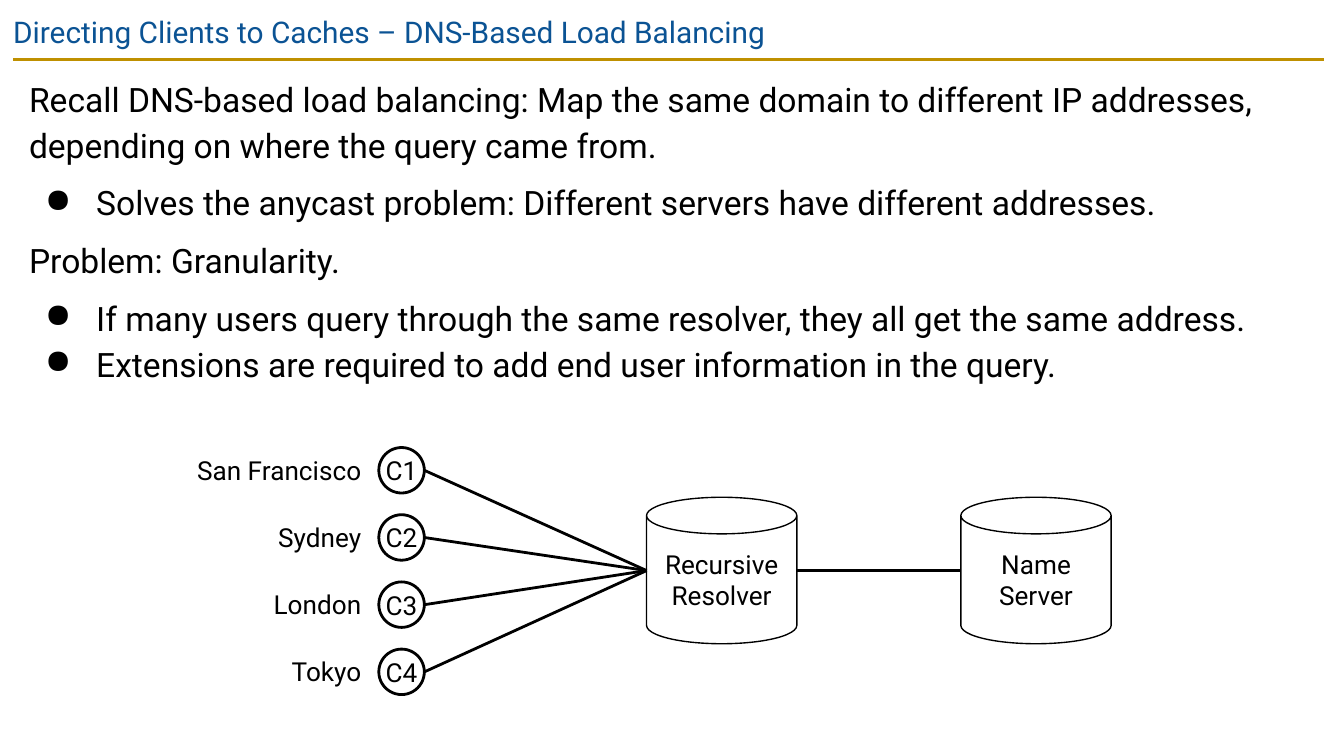
from dataclasses import dataclass

from lxml.etree import SubElement
from pptx import Presentation
from pptx.dml.color import RGBColor
from pptx.enum.shapes import MSO_CONNECTOR, MSO_SHAPE
from pptx.enum.text import MSO_ANCHOR, PP_ALIGN
from pptx.oxml.ns import qn
from pptx.util import Cm, Pt


@dataclass(frozen=True)
class Theme:
    font: str = "Roboto"
    title: RGBColor = RGBColor(0x0B, 0x53, 0x94)
    rule: RGBColor = RGBColor(0xBF, 0x90, 0x00)
    ink: RGBColor = RGBColor(0, 0, 0)
    paper: RGBColor = RGBColor(0xFF, 0xFF, 0xFF)
    title_size: Pt = Pt(16)
    body_size: Pt = Pt(18)
    label_size: Pt = Pt(14)
    thick: Pt = Pt(1.5)
    thin: Pt = Pt(0.75)


THEME = Theme()
INSET = Cm(0.25)

TITLE = "Directing Clients to Caches – DNS-Based Load Balancing"
# Text, is a bullet, space before in points
BODY = [
    ("Recall DNS-based load balancing: Map the same domain to different IP "
     "addresses, depending on where the query came from.", False, 6),
    ("Solves the anycast problem: Different servers have different addresses.", True, 6),
    ("Problem: Granularity.", False, 6),
    ("If many users query through the same resolver, they all get the same address.", True, 6),
    ("Extensions are required to add end user information in the query.", True, 0),
]
CITIES = ["San Francisco", "Sydney", "London", "Tokyo"]

CLIENT_LEFT, CLIENT_TOP = Cm(7.16), Cm(8.46)
CLIENT_SIZE, CLIENT_PITCH = Cm(0.86), Cm(1.27)
CITY_WIDTH, CITY_HEIGHT, CITY_GAP = Cm(3.38), Cm(0.61), Cm(0.33)
SERVER_TOP, SERVER_WIDTH, SERVER_HEIGHT = Cm(9.4), Cm(2.84), Cm(2.77)
RESOLVER_LEFT, NAME_SERVER_LEFT = Cm(12.22), Cm(18.16)


def set_font(para, size, color):
    para.font.name = THEME.font
    para.font.size = size
    para.font.color.rgb = color


def set_frame(frame, inset, anchor):
    frame.word_wrap = True
    frame.vertical_anchor = anchor
    frame.margin_left = frame.margin_right = inset
    frame.margin_top = frame.margin_bottom = inset


def add_bullet(para):
    properties = para._p.get_or_add_pPr()
    properties.set("marL", str(Cm(1.27)))
    properties.set("indent", str(-Cm(0.97)))
    color = SubElement(properties, qn("a:buClr"))
    SubElement(color, qn("a:srgbClr"), val=str(THEME.ink))
    SubElement(properties, qn("a:buChar"), char="●")


def add_text(page, text, left, top, width, height, size, color,
             inset=INSET, align=PP_ALIGN.LEFT):
    box = page.shapes.add_textbox(left, top, width, height)
    set_frame(box.text_frame, inset, MSO_ANCHOR.TOP)
    para = box.text_frame.paragraphs[0]
    para.text = text
    para.alignment = align
    set_font(para, size, color)


def add_body(page):
    box = page.shapes.add_textbox(Cm(0.3), Cm(1.12), Cm(24.74), Cm(6.63))
    frame = box.text_frame
    set_frame(frame, INSET, MSO_ANCHOR.TOP)
    for index, (text, bulleted, space) in enumerate(BODY):
        para = frame.add_paragraph() if index else frame.paragraphs[0]
        para.text = text
        para.line_spacing = 1.15
        para.space_before = Pt(space)
        if bulleted:
            add_bullet(para)
        set_font(para, THEME.body_size, THEME.ink)


def add_node(page, kind, text, left, top, width, height, line_width, inset):
    """Add an outlined, unfilled shape with a centred label."""
    node = page.shapes.add_shape(kind, left, top, width, height)
    node.shadow.inherit = False
    node.fill.background()
    node.line.color.rgb = THEME.ink
    node.line.width = line_width
    set_frame(node.text_frame, inset, MSO_ANCHOR.MIDDLE)
    para = node.text_frame.paragraphs[0]
    para.text = text
    para.alignment = PP_ALIGN.CENTER
    set_font(para, THEME.label_size, THEME.ink)
    return node


def add_client(page, name, top):
    client = add_node(page, MSO_SHAPE.OVAL, name, CLIENT_LEFT, top,
                      CLIENT_SIZE, CLIENT_SIZE, THEME.thick, 0)
    client.fill.solid()
    client.fill.fore_color.rgb = THEME.paper
    color = client._element.spPr.find(qn("a:solidFill"))[0]
    SubElement(color, qn("a:alpha"), val="75000")
    return client


def add_server(page, name, left):
    return add_node(page, MSO_SHAPE.CAN, name, left, SERVER_TOP,
                    SERVER_WIDTH, SERVER_HEIGHT, THEME.thin, INSET)


def add_line(page, start, end, color):
    line = page.shapes.add_connector(MSO_CONNECTOR.STRAIGHT, *start, *end)
    line.line.color.rgb = color
    line.line.width = THEME.thick
    SubElement(line._element.spPr, qn("a:effectLst"))


def link(page, source, target):
    """Join the right side of source to the left side of target."""
    start = (source.left + source.width, source.top + source.height // 2)
    end = (target.left, target.top + target.height // 2)
    add_line(page, start, end, THEME.ink)


def add_network(page):
    resolver = add_server(page, "Recursive Resolver", RESOLVER_LEFT)
    name_server = add_server(page, "Name Server", NAME_SERVER_LEFT)
    link(page, resolver, name_server)
    for index, city in enumerate(CITIES):
        top = CLIENT_TOP + index * CLIENT_PITCH
        client = add_client(page, f"C{index + 1}", top)
        add_text(page, city, CLIENT_LEFT - CITY_GAP - CITY_WIDTH,
                 top + (CLIENT_SIZE - CITY_HEIGHT) // 2, CITY_WIDTH, CITY_HEIGHT,
                 THEME.label_size, THEME.ink, inset=0, align=PP_ALIGN.RIGHT)
        link(page, client, resolver)


def main():
    deck = Presentation()
    deck.slide_width, deck.slide_height = Cm(25.4), Cm(14.29)
    page = deck.slides.add_slide(deck.slide_layouts[6])
    add_line(page, (Cm(0.25), Cm(1.12)), (Cm(25.02), Cm(1.12)), THEME.rule)
    add_text(page, TITLE, 0, 0, Cm(25.4), Cm(1.09), THEME.title_size, THEME.title)
    add_body(page)
    add_network(page)
    deck.save("out.pptx")


if __name__ == "__main__":
    main()
